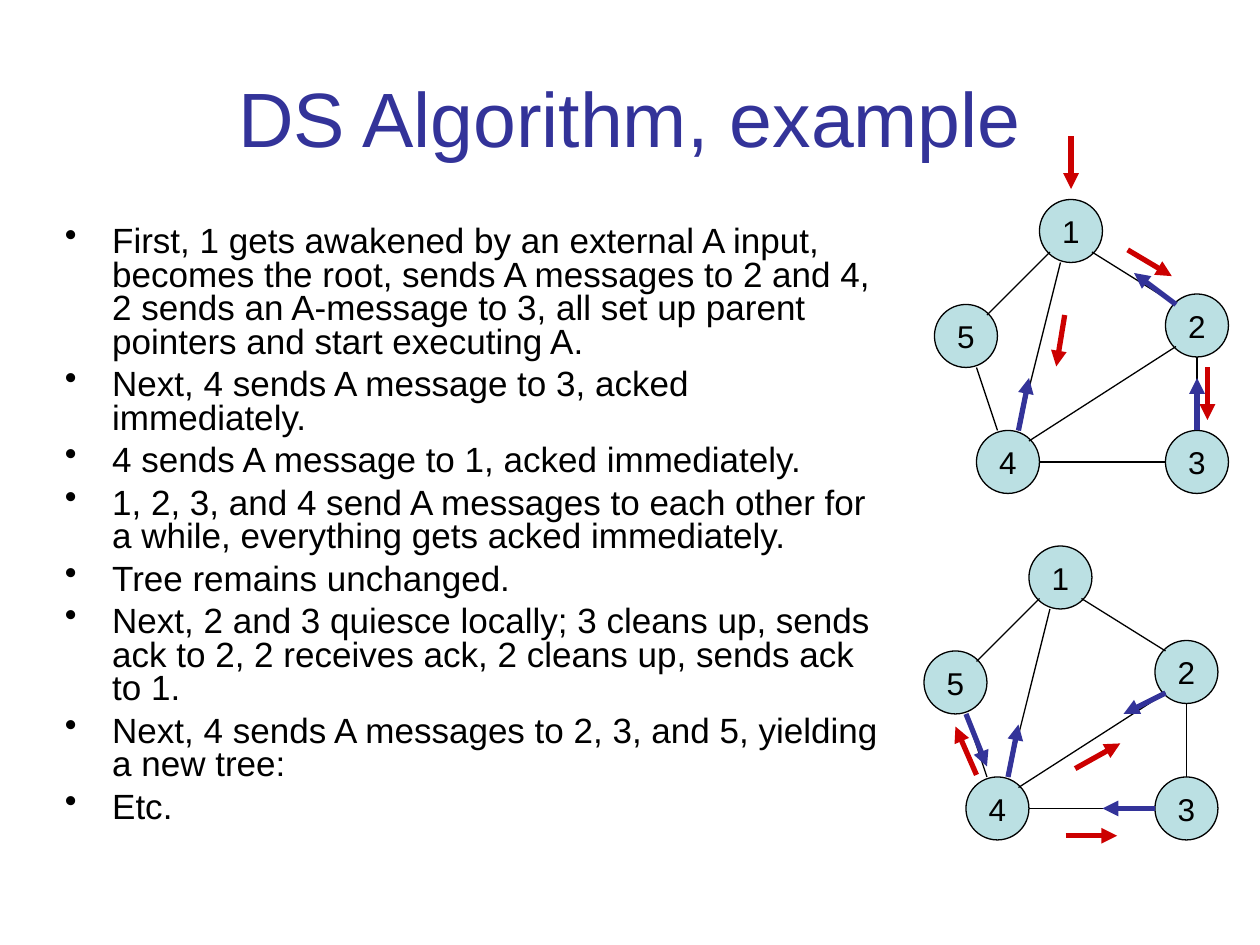
from dataclasses import dataclass

from pptx import Presentation
from pptx.dml.color import RGBColor
from pptx.enum import shapes, text
from pptx.oxml.ns import qn
from pptx.util import Emu, Pt

PX = 914400 // 120  # 120 px to the inch
FONT = "Arial"
BLACK, NAVY, RED, PALE_TEAL = "000000", "333399", "CC0000", "BBE0E3"
NODE_SIZE = 60
INDENT = 45


@dataclass(frozen=True)
class Node:
    label: str
    left: int
    top: int


@dataclass(frozen=True)
class Line:
    x1: int
    y1: int
    x2: int
    y2: int
    color: str = BLACK


@dataclass(frozen=True)
class Graph:
    left: int
    top: int
    arrows: tuple[Line, ...]


TITLE = "DS Algorithm, example"
STEPS = (
    "First, 1 gets awakened by an external A input, becomes the root, sends A messages "
    "to 2 and 4, 2 sends an A-message to 3, all set up parent pointers and start executing A.",
    "Next, 4 sends A message to 3, acked immediately.",
    "4 sends A message to 1, acked immediately.",
    "1, 2, 3, and 4 send A messages to each other for a while, "
    "everything gets acked immediately.",
    "Tree remains unchanged.",
    "Next, 2 and 3 quiesce locally; 3 cleans up, sends ack to 2, 2 receives ack, "
    "2 cleans up, sends ack to 1.",
    "Next, 4 sends A messages to 2, 3, and 5, yielding a new tree:",
    "Etc.",
)

# Both graphs share these nodes and edges, measured from the graph's corner
NODES = (
    Node("5", 0, 100),
    Node("1", 100, 0),
    Node("3", 220, 220),
    Node("4", 40, 220),
    Node("2", 220, 90),
)
EDGES = (
    Line(250, 220, 250, 150),
    Line(50, 110, 110, 50),
    Line(120, 60, 80, 220),
    Line(60, 220, 40, 160),
    Line(150, 50, 230, 100),
    Line(100, 250, 220, 250),
    Line(230, 140, 90, 230),
)

# Red arrows are messages, navy arrows are parent pointers (slide coordinates)
GRAPHS = (
    Graph(890, 190, (
        Line(1020, 130, 1020, 180, RED),
        Line(1074, 238, 1116, 263, RED),
        Line(970, 410, 980, 360, NAVY),
        Line(1014, 300, 1006, 349, RED),
        Line(1150, 350, 1150, 400, RED),
        Line(1120, 290, 1080, 260, NAVY),
        Line(1140, 410, 1140, 360, NAVY),
    )),
    Graph(880, 520, (
        Line(960, 740, 970, 690, NAVY),
        Line(920, 680, 940, 730, NAVY),
        Line(1110, 660, 1070, 680, NAVY),
        Line(1100, 770, 1050, 770, NAVY),
        Line(1015, 796, 1064, 796, RED),
        Line(930, 738, 910, 692, RED),
        Line(1024, 732, 1067, 708, RED),
    )),
)


def px(*lengths: int) -> list[Emu]:
    return [Emu(length * PX) for length in lengths]


def rgb(color: str) -> RGBColor:
    return RGBColor.from_string(color)


def set_font(paragraph, size: int, color: str) -> None:
    paragraph.font.name = FONT
    paragraph.font.size = Pt(size)
    paragraph.font.color.rgb = rgb(color)


def add_title(slide) -> None:
    frame = slide.shapes.add_textbox(*px(60, 36, 1080, 150)).text_frame
    frame.word_wrap = True
    frame.vertical_anchor = text.MSO_ANCHOR.MIDDLE
    paragraph = frame.paragraphs[0]
    paragraph.text = TITLE
    paragraph.alignment = text.PP_ALIGN.CENTER
    set_font(paragraph, 44, NAVY)


def add_steps(slide) -> None:
    frame = slide.shapes.add_textbox(*px(50, 210, 810, 640)).text_frame
    frame.word_wrap = True
    for index, step in enumerate(STEPS):
        paragraph = frame.add_paragraph() if index else frame.paragraphs[0]
        paragraph.text = step
        paragraph.line_spacing = 0.8
        paragraph.space_before = Pt(5 if index else 0)
        properties = paragraph._p.get_or_add_pPr()
        properties.set("marL", str(INDENT * PX))
        properties.set("indent", str(-INDENT * PX))
        bullet = properties.makeelement(qn("a:buChar"), {"char": "•"})
        properties.append(bullet)
        set_font(paragraph, 20, BLACK)


def add_line(parent, line: Line, width: float, left: int = 0, top: int = 0):
    connector = parent.shapes.add_connector(
        shapes.MSO_CONNECTOR.STRAIGHT,
        *px(left + line.x1, top + line.y1, left + line.x2, top + line.y2),
    )
    connector.line.color.rgb = rgb(line.color)
    connector.line.width = Pt(width)
    properties = connector._element.spPr
    properties.append(properties.makeelement(qn("a:effectLst"), {}))
    return connector


def add_arrow(parent, line: Line) -> None:
    outline = add_line(parent, line, 3).line._get_or_add_ln()
    outline.append(outline.makeelement(qn("a:tailEnd"), {"type": "triangle"}))


def add_node(parent, node: Node, left: int, top: int) -> None:
    shape = parent.shapes.add_shape(
        shapes.MSO_SHAPE.OVAL,
        *px(left + node.left, top + node.top, NODE_SIZE, NODE_SIZE),
    )
    shape.shadow.inherit = False
    shape.fill.solid()
    shape.fill.fore_color.rgb = rgb(PALE_TEAL)
    shape.line.color.rgb = rgb(BLACK)
    shape.line.width = Pt(0.75)
    frame = shape.text_frame
    frame.word_wrap = False
    frame.vertical_anchor = text.MSO_ANCHOR.MIDDLE
    paragraph = frame.paragraphs[0]
    paragraph.text = node.label
    paragraph.alignment = text.PP_ALIGN.CENTER
    set_font(paragraph, 18, BLACK)


def add_graph(slide, graph: Graph) -> None:
    group = slide.shapes.add_group_shape()
    for node in NODES:
        add_node(group, node, graph.left, graph.top)
    for edge in EDGES:
        add_line(group, edge, 0.75, graph.left, graph.top)
    for arrow in graph.arrows:
        add_arrow(slide, arrow)


def main() -> None:
    presentation = Presentation()
    presentation.slide_width, presentation.slide_height = px(1200, 900)
    slide = presentation.slides.add_slide(presentation.slide_layouts[6])
    add_title(slide)
    add_steps(slide)
    for graph in GRAPHS:
        add_graph(slide, graph)
    presentation.save("out.pptx")


if __name__ == "__main__":
    main()
